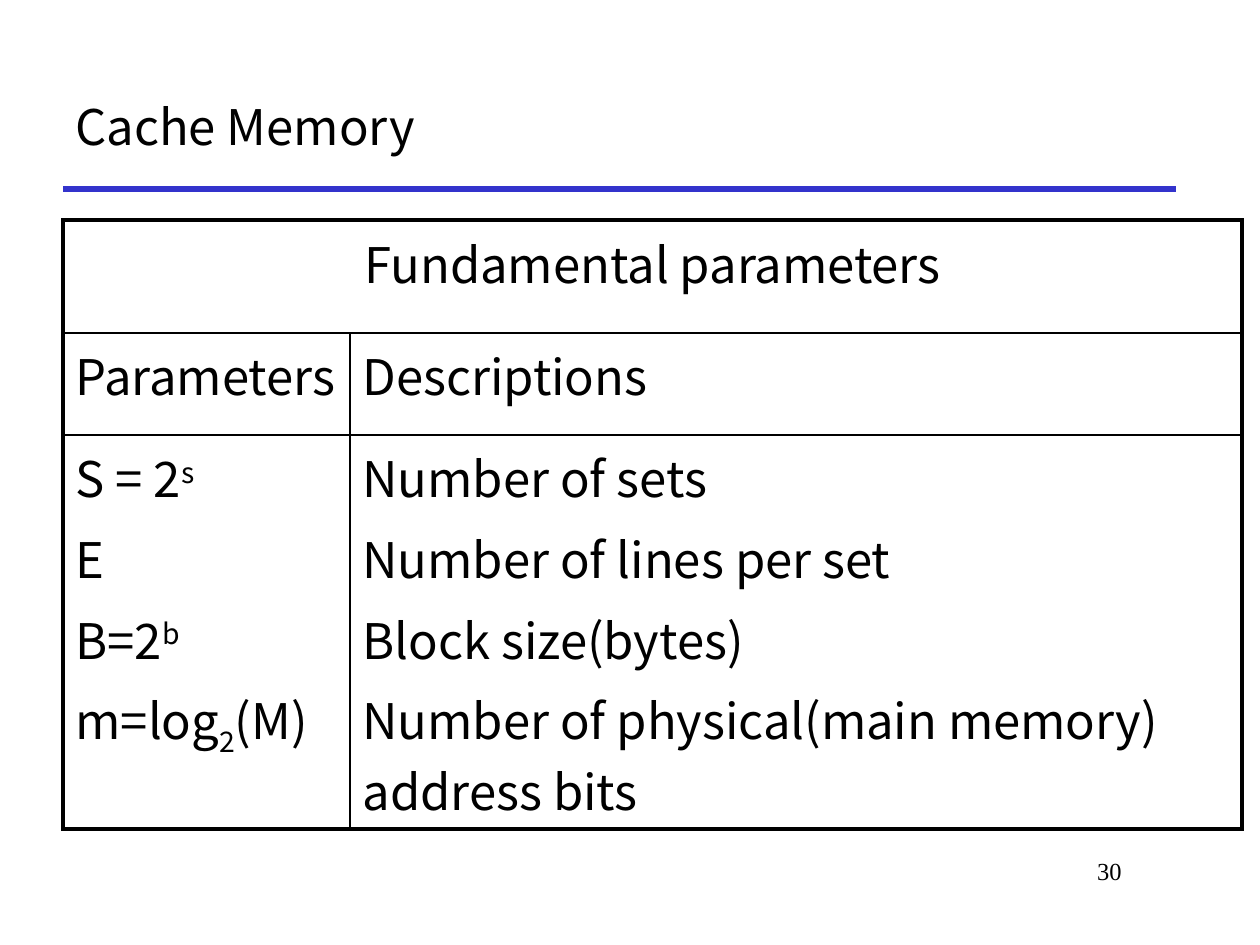
import pptx
import pptx.dml.color
import pptx.enum.shapes
import pptx.enum.text
import pptx.oxml.ns
import pptx.util
from lxml import etree

PX = 914400 / 126
COLORS = {"text": "000000", "rule": "3333CC", "border": "000000"}
BODY_FONT = "Noto Sans CJK KR"
SUPERSCRIPT, SUBSCRIPT = 30000, -25000
OUTER, INNER = 2.25, 1
align = pptx.enum.text.PP_ALIGN


def px(*lengths):
    return [pptx.util.Emu(round(length * PX)) for length in lengths]


def write(paragraph, runs, size=28, font=BODY_FONT, alignment=align.LEFT):
    """Fill a paragraph from (text, baseline shift) pairs."""
    for text, baseline in runs:
        run = paragraph.add_run()
        run.text = text
        if baseline:
            run._r.get_or_add_rPr().set("baseline", str(baseline))
    paragraph.alignment = alignment
    paragraph.font.size = pptx.util.Pt(size)
    paragraph.font.name = font
    paragraph.font.color.rgb = pptx.dml.color.RGBColor.from_string(COLORS["text"])


prs = pptx.Presentation()
prs.slide_width, prs.slide_height = px(1260, 945)
slide = prs.slides.add_slide(prs.slide_layouts[6])

# Heading with its rule, and the page number
rule = slide.shapes.add_connector(
    pptx.enum.shapes.MSO_CONNECTOR.STRAIGHT, *px(63, 189, 1176, 189))
rule.line.color.rgb = pptx.dml.color.RGBColor.from_string(COLORS["rule"])
rule.line.width = pptx.util.Pt(3)
etree.SubElement(rule._element.spPr, pptx.oxml.ns.qn("a:effectLst"))

page_number = slide.shapes.add_textbox(*px(955, 850, 179, 63)).text_frame
page_number.word_wrap = True
write(page_number.paragraphs[0], [("30", 0)], 14, "Times New Roman", align.RIGHT)

title = slide.shapes.add_textbox(*px(63, 63, 1113, 126)).text_frame
title.word_wrap = True
title.vertical_anchor = pptx.enum.text.MSO_ANCHOR.MIDDLE
write(title.paragraphs[0], [("Cache Memory", 0)])

# Parameter table: rows of cells, cells of paragraphs, paragraphs of runs
parameters = [
    [("S = 2", 0), ("s", SUPERSCRIPT)],
    [("E", 0)],
    [("B=2", 0), ("b", SUPERSCRIPT)],
    [("m=log", 0), ("2", SUBSCRIPT), ("(M)", 0)],
]
descriptions = [[(text, 0)] for text in (
    "Number of sets",
    "Number of lines per set",
    "Block size(bytes)",
    "Number of physical(main memory) address bits",
)]
rows = [
    [[[("Fundamental parameters", 0)]], []],
    [[[("Parameters", 0)]], [[("Descriptions", 0)]]],
    [parameters, descriptions],
]
column_widths = px(287, 892)
row_heights = px(113, 102, 394)

frame = slide.shapes.add_table(
    len(rows), len(column_widths), *px(63, 220), sum(column_widths), sum(row_heights))
table = frame.table
table.first_row = table.horz_banding = False
for column, width in zip(table.columns, column_widths):
    column.width = width
for row, height in zip(table.rows, row_heights):
    row.height = height
table.cell(0, 0).merge(table.cell(0, 1))

last_row, last_column = len(rows) - 1, len(column_widths) - 1
for r, row in enumerate(rows):
    for c, paragraphs in enumerate(row):
        cell = table.cell(r, c)
        cell.fill.background()
        for i, runs in enumerate(paragraphs):
            paragraph = cell.text_frame.paragraphs[0] if i == 0 else cell.text_frame.add_paragraph()
            if i:
                paragraph.space_before = pptx.util.Pt(5.6)
            write(paragraph, runs, alignment=align.CENTER if r == 0 else align.LEFT)

        edges = {"lnL": c == 0, "lnR": c == last_column or r == 0,
                 "lnT": r == 0, "lnB": r == last_row}
        properties = cell._tc.get_or_add_tcPr()
        for position, (edge, is_outer) in enumerate(edges.items()):
            width = pptx.util.Pt(OUTER if is_outer else INNER)
            border = etree.Element(pptx.oxml.ns.qn(f"a:{edge}"), w=str(width))
            fill = etree.SubElement(border, pptx.oxml.ns.qn("a:solidFill"))
            etree.SubElement(fill, pptx.oxml.ns.qn("a:srgbClr"), val=COLORS["border"])
            properties.insert(position, border)

prs.save("out.pptx")
